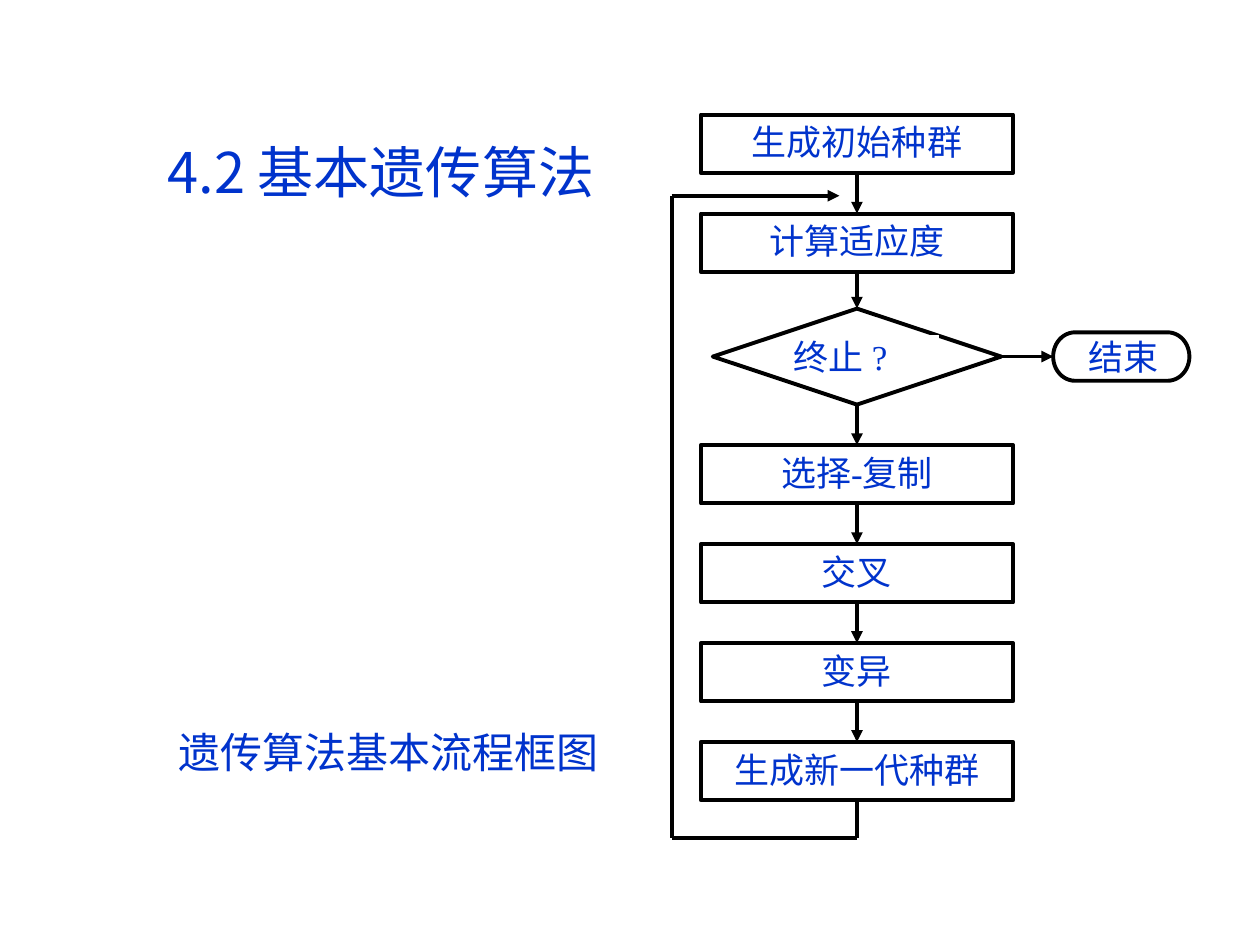
from dataclasses import dataclass
from itertools import pairwise

from lxml.etree import SubElement
from pptx import Presentation
from pptx.dml.color import RGBColor
from pptx.enum.shapes import MSO_CONNECTOR, MSO_SHAPE
from pptx.enum.text import MSO_ANCHOR, MSO_AUTO_SIZE, PP_ALIGN
from pptx.oxml.ns import qn
from pptx.util import Inches, Pt


@dataclass(frozen=True)
class Theme:
    ink: RGBColor = RGBColor(0x00, 0x33, 0xCC)
    line: RGBColor = RGBColor(0, 0, 0)
    paper: RGBColor = RGBColor(255, 255, 255)
    head: str = "Noto Sans CJK SC"
    body: str = "Times New Roman"
    title: int = 32
    note: int = 24
    step: int = 20
    thick: float = 2.25
    thin: float = 0.75


@dataclass(frozen=True)
class Grid:
    """A box on the slide, split into columns and rows."""
    left: float
    top: float
    width: float
    height: float
    cols: float = 1
    rows: float = 1

    def point(self, col, row):
        return (Inches(self.left + col * self.width / self.cols),
                Inches(self.top + row * self.height / self.rows))

    def cell(self, col, row, wide, tall):
        return (*self.point(col, row),
                Inches(wide * self.width / self.cols),
                Inches(tall * self.height / self.rows))


THEME = Theme()
TOP, LEFT, BOTTOM, RIGHT = range(4)


def write(shape, text, size, font, align, pad=(0.1, 0.05)):
    frame = shape.text_frame
    frame.text = text
    frame.word_wrap = True
    frame.vertical_anchor = MSO_ANCHOR.TOP
    frame.margin_left = frame.margin_right = Inches(pad[0])
    frame.margin_top = frame.margin_bottom = Inches(pad[1])
    para = frame.paragraphs[0]
    para.alignment = align
    for run in para.runs:
        run.font.size = Pt(size)
        run.font.name = font
        run.font.color.rgb = THEME.ink
        east = SubElement(run.font._element, qn("a:ea"))
        east.set("typeface", THEME.head)


def block(slide, kind, cell, edge=THEME.line, weight=THEME.thick):
    shape = slide.shapes.add_shape(kind, *cell)
    shape.shadow.inherit = False
    shape.fill.solid()
    shape.fill.fore_color.rgb = THEME.paper
    shape.line.color.rgb = edge
    shape.line.width = Pt(weight)
    return shape


def label(slide, cell, text, size=THEME.step, align=PP_ALIGN.CENTER, pad=(0, 0)):
    shape = block(slide, MSO_SHAPE.RECTANGLE, cell, THEME.paper, THEME.thin)
    write(shape, text, size, THEME.body, align, pad)
    return shape


def wire(slide, start, end, arrow=True):
    line = slide.shapes.add_connector(MSO_CONNECTOR.STRAIGHT, *start, *end)
    line.line.color.rgb = THEME.line
    line.line.width = Pt(THEME.thick)
    if arrow:
        SubElement(line.line._get_or_add_ln(), qn("a:tailEnd"), type="triangle")
    SubElement(line._element.spPr, qn("a:effectLst"))
    return line


def join(slide, one, side, two, other):
    line = wire(slide, (0, 0), (0, 0))
    line.begin_connect(one, side)
    line.end_connect(two, other)


def heading(slide, box):
    title = slide.shapes.title
    title.left, title.top, title.width, title.height = box.cell(0, 0, 1, 1)
    write(title, "4.2 基本遗传算法", THEME.title, THEME.head, PP_ALIGN.LEFT)
    title.text_frame.word_wrap = False
    title.text_frame.auto_size = MSO_AUTO_SIZE.SHAPE_TO_FIT_TEXT


def caption(slide, box):
    note = label(slide, box.cell(0, 0, 1, 1), "遗传算法基本流程框图",
                 THEME.note, PP_ALIGN.LEFT, (0.1, 0.05))
    note.text_frame.margin_left = Inches(0.2)


def flow(slide, grid):
    """Flow chart on ten columns, one step to a row."""
    mid, wide, tall = 3.58, 6.03, 0.59

    def step(row, text):
        cell = grid.cell(mid - wide / 2, row, wide, tall)
        shape = block(slide, MSO_SHAPE.RECTANGLE, cell)
        write(shape, text, THEME.step, THEME.body, PP_ALIGN.CENTER)
        return shape

    first = [step(row, text)
             for row, text in enumerate(("生成初始种群", "计算适应度"))]
    test = block(slide, MSO_SHAPE.FLOWCHART_DECISION,
                 grid.cell(mid - 5.57 / 2, 1.96, 5.57, 0.97))
    label(slide, grid.cell(2.36, 2.23, 2.8, 0.38), "终止 ?",
          align=PP_ALIGN.LEFT)
    rest = [step(3.34 + row, text) for row, text in enumerate(
        ("选择-复制", "交叉", "变异", "生成新一代种群"))]
    chain = [*first, test, *rest]
    for one, two in pairwise(chain):
        join(slide, one, BOTTOM, two, TOP)

    stop = block(slide, MSO_SHAPE.FLOWCHART_TERMINATOR,
                 grid.cell(7.37, 2.2, 2.63, 0.49))
    label(slide, grid.cell(8.03, 2.23, 1.39, 0.38), "结束")
    join(slide, test, RIGHT, stop, LEFT)

    loop = [(mid, 6.34 + tall), (mid, 7.31), (0, 7.31), (0, 0.82), (3.24, 0.82)]
    lines = [wire(slide, grid.point(*a), grid.point(*b), arrow=b == loop[-1])
             for a, b in pairwise(loop)]
    lines[0].begin_connect(chain[-1], BOTTOM)


def main():
    deck = Presentation()
    deck.slide_width, deck.slide_height = Inches(10), Inches(7.5)
    slide = deck.slides.add_slide(deck.slide_layouts[5])
    heading(slide, Grid(1.23, 1.04, 3.79, 0.64))
    caption(slide, Grid(1.22, 5.72, 3.78, 0.45))
    flow(slide, Grid(5.33, 0.91, 4.11, 5.74, cols=10, rows=7.31))
    deck.save("out.pptx")


if __name__ == "__main__":
    main()
